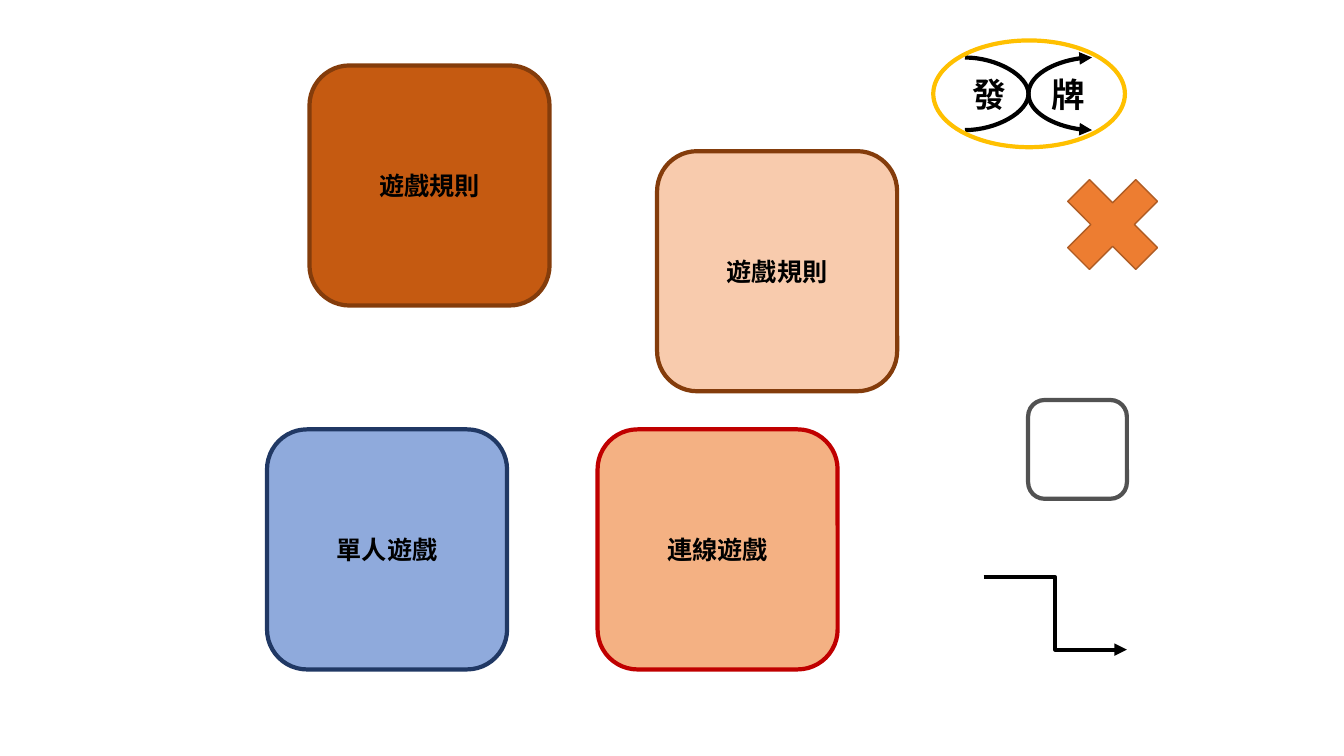
from lxml.etree import SubElement
from pptx import Presentation
from pptx.dml.color import RGBColor
from pptx.enum.shapes import MSO_CONNECTOR, MSO_SHAPE
from pptx.enum.text import MSO_ANCHOR, PP_ALIGN
from pptx.oxml.ns import qn
from pptx.util import Cm, Pt

COLORS = {
    "black": "000000",
    "rust": "C55A11",
    "brown": "843C0B",
    "peach": "F8CBAD",
    "blue": "8FAADC",
    "navy": "203864",
    "apricot": "F4B183",
    "red": "C00000",
    "orange": "ED7D31",
    "dark orange": "AF5C24",
    "gray": "525252",
    "gold": "FFC000",
}
CARD_SIDE = 6.05
CARDS = [
    ("遊戲規則", 7.8, 1.65, "rust", "brown"),
    ("遊戲規則", 16.56, 3.81, "peach", "brown"),
    ("單人遊戲", 6.73, 10.82, "blue", "navy"),
    ("連線遊戲", 15.06, 10.82, "apricot", "red"),
]


def color(name):
    return RGBColor.from_string(COLORS[name])


def add_figure(shapes, kind, left, top, width, height, fill, line, weight=3):
    """Add a preset shape; a fill of None leaves it see-through."""
    figure = shapes.add_shape(kind, Cm(left), Cm(top), Cm(width), Cm(height))
    figure.shadow.inherit = False
    if fill:
        figure.fill.solid()
        figure.fill.fore_color.rgb = color(fill)
    else:
        figure.fill.background()
    figure.line.color.rgb = color(line)
    figure.line.width = Pt(weight)
    return figure


def add_label(figure, pieces, size):
    """Centre the text pieces, one run each, and return the runs."""
    frame = figure.text_frame
    frame.word_wrap = True
    frame.vertical_anchor = MSO_ANCHOR.MIDDLE
    para = frame.paragraphs[0]
    para.alignment = PP_ALIGN.CENTER
    spans = []
    for piece in pieces:
        span = para.add_run()
        span.text = piece
        span.font.name = "Calibri"
        span.font.size = Pt(size)
        span.font.bold = True
        span.font.color.rgb = color("black")
        spans.append(span)
    return spans


def add_arrow(shapes, kind, left, top, right, bottom):
    arrow = shapes.add_connector(kind, Cm(left), Cm(top), Cm(right), Cm(bottom))
    arrow.line.color.rgb = color("black")
    arrow.line.width = Pt(3)
    SubElement(arrow.line._get_or_add_ln(), qn("a:tailEnd"), type="triangle")
    SubElement(arrow._element.spPr, qn("a:effectLst"))


def add_card(page, text, left, top, fill, line):
    card = add_figure(page.shapes, MSO_SHAPE.ROUNDED_RECTANGLE,
                      left, top, CARD_SIDE, CARD_SIDE, fill, line)
    add_label(card, [text], 18)


def add_deal_badge(page, left, top, width, height):
    """Oval holding two crossing shuffle arrows and the word for dealing."""
    shapes = page.shapes.add_group_shape().shapes
    start, end = left + 0.8, left + width - 0.83
    upper, lower = top + 0.43, top + height - 0.43
    add_arrow(shapes, MSO_CONNECTOR.CURVE, start, lower, end, upper)
    add_arrow(shapes, MSO_CONNECTOR.CURVE, start, upper, end, lower)
    oval = add_figure(shapes, MSO_SHAPE.OVAL, left, top, width, height, None, "gold")
    gap = add_label(oval, ["發", " ", "牌"], 24)[1]
    gap._r.get_or_add_rPr().set("spc", "2700")


def add_symbols(page, left, top):
    """Cross, empty frame and stepped arrow, down the right-hand side."""
    add_figure(page.shapes, MSO_SHAPE.MATH_MULTIPLY, left + 1.6, top, 3.3, 3.3,
               "orange", "dark orange", 1)
    add_figure(page.shapes, MSO_SHAPE.ROUNDED_RECTANGLE, left + 1.12, top + 6.07,
               2.49, 2.49, None, "gray")
    add_arrow(page.shapes, MSO_CONNECTOR.ELBOW,
              left, top + 10.54, left + 3.61, top + 12.36)


def main():
    deck = Presentation()
    deck.slide_width, deck.slide_height = Cm(33.87), Cm(19.05)
    page = deck.slides.add_slide(deck.slide_layouts[6])
    for card in CARDS:
        add_card(page, *card)
    add_symbols(page, 24.79, 4.01)
    add_deal_badge(page, 23.52, 1.02, 4.83, 2.69)
    deck.save("out.pptx")


if __name__ == "__main__":
    main()
